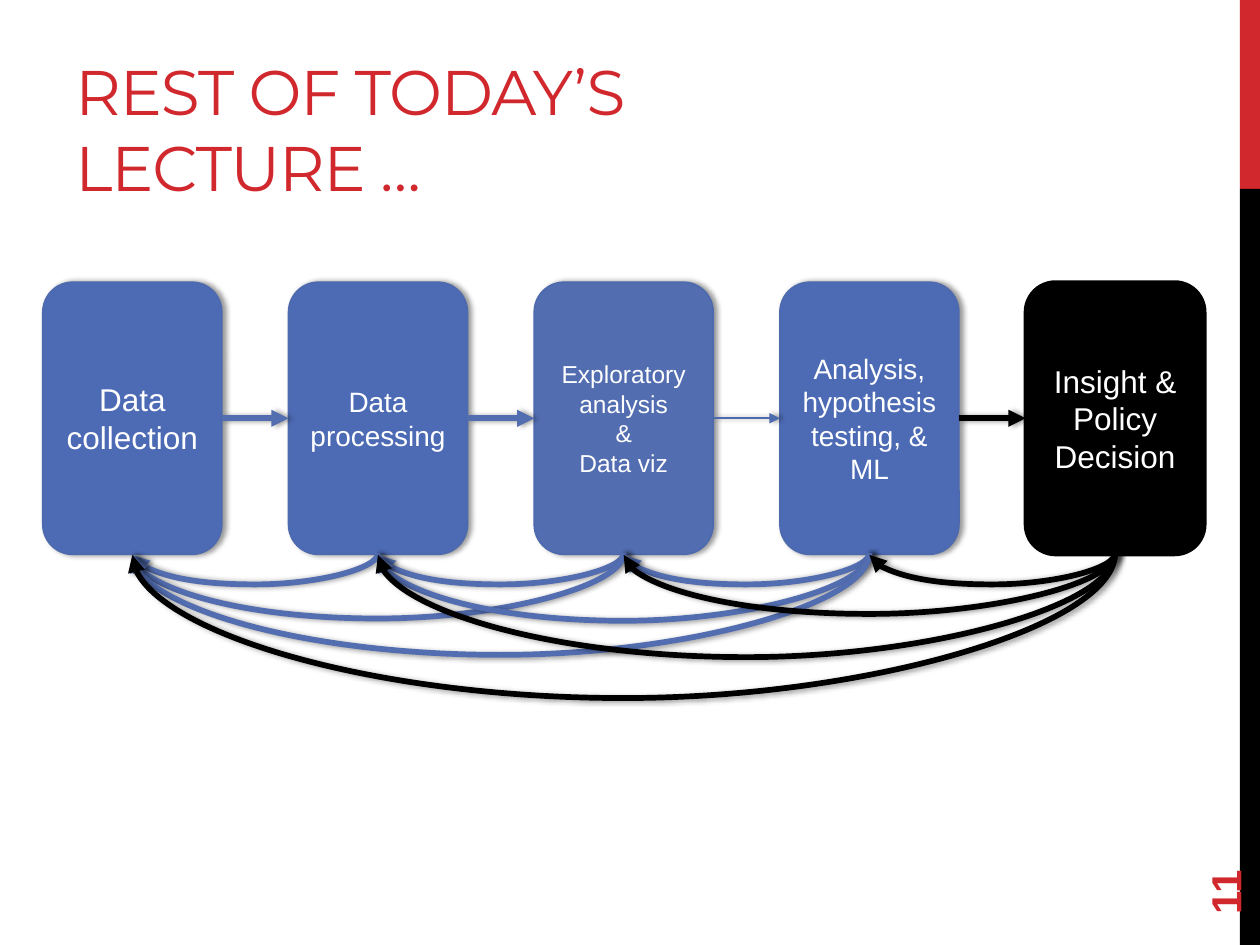
import lxml.etree
import pptx
import pptx.dml.color
import pptx.enum.shapes
import pptx.enum.text
import pptx.oxml.ns
import pptx.util

Inches, Pt = pptx.util.Inches, pptx.util.Pt
RGBColor = pptx.dml.color.RGBColor
MSO_SHAPE = pptx.enum.shapes.MSO_SHAPE
MSO_CONNECTOR = pptx.enum.shapes.MSO_CONNECTOR
PP_ALIGN = pptx.enum.text.PP_ALIGN
MSO_ANCHOR = pptx.enum.text.MSO_ANCHOR
qn = pptx.oxml.ns.qn
SubElement = lxml.etree.SubElement

RED = RGBColor(0xD1, 0x28, 0x2E)
BLACK = RGBColor(0, 0, 0)
WHITE = RGBColor(0xFF, 0xFF, 0xFF)
BLUE = RGBColor(0x4D, 0x6B, 0xB5)
MUTED_BLUE = RGBColor(0x52, 0x6D, 0xB0)
EDGE_BLUE = RGBColor(0x4E, 0x6A, 0xAE)

presentation = pptx.Presentation()
presentation.slide_width, presentation.slide_height = Inches(10), Inches(7.5)
slide = presentation.slides.add_slide(presentation.slide_layouts[6])
shapes = slide.shapes


def add_shadow(shape):
    properties = shape.element.spPr
    effects = properties.find(qn("a:effectLst"))
    if effects is None:
        effects = SubElement(properties, qn("a:effectLst"))
    shadow = SubElement(effects, qn("a:outerShdw"), blurRad=str(Pt(3.1)),
                        dist=str(Pt(1.8)), dir="0", rotWithShape="0")
    color = SubElement(shadow, qn("a:srgbClr"), val="000000")
    SubElement(color, qn("a:alpha"), val="40000")


def style_arrow(connector, color, width):
    connector.line.color.rgb = color
    connector.line.width = Pt(width)
    line = connector.element.spPr.find(qn("a:ln"))
    SubElement(line, qn("a:tailEnd"), type="triangle")
    add_shadow(connector)


# Side bar
BAR_LEFT, BAR_SPLIT = 9.84, 1.5
for top, bottom, color in [(0, BAR_SPLIT, RED), (BAR_SPLIT, 7.5, BLACK)]:
    bar = shapes.add_shape(MSO_SHAPE.RECTANGLE, Inches(BAR_LEFT), Inches(top),
                           Inches(10 - BAR_LEFT), Inches(bottom - top))
    bar.shadow.inherit = False
    bar.fill.solid()
    bar.fill.fore_color.rgb = color
    bar.line.fill.background()

# Title
title = shapes.add_textbox(Inches(0.5), Inches(0.17), Inches(6.33), Inches(1.5))
title.text_frame.word_wrap = True
title.text_frame.vertical_anchor = MSO_ANCHOR.BOTTOM
paragraph = title.text_frame.paragraphs[0]
run = paragraph.add_run()
run.text = "REST OF TODAY’S LECTURE …"
run.font.name = "Montserrat"
run.font.size = Pt(36)
run.font.color.rgb = RED
run.font._element.set("spc", "-60")

# Pipeline grid
LEFT, TOP, PITCH = 0.34, 2.24, 1.95
BOX_WIDTH, BOX_HEIGHT = 1.42, 2.16
LOOP_TOP = TOP + BOX_HEIGHT - 0.01

# Text, size, fill, edge colour, edge width, arrow colour, arrow width,
# and the loops back from the stage as (target column, depth in points)
stages = [
    ("Data collection", 18, BLUE, EDGE_BLUE, 1, None, 0, []),
    ("Data processing", 16, BLUE, EDGE_BLUE, 1, MUTED_BLUE, 3.25, [(0, 18)]),
    ("Exploratory analysis\n&\nData viz", 14, MUTED_BLUE, EDGE_BLUE, 1,
     MUTED_BLUE, 3.25, [(1, 18), (0, 37.64)]),
    ("Analysis, hypothesis testing, & ML", 16, BLUE, EDGE_BLUE, 1,
     EDGE_BLUE, 1, [(2, 18), (1, 38.95), (0, 58.58)]),
    ("Insight & Policy Decision", 18, BLACK, BLACK, 2.25,
     BLACK, 3.25, [(3, 18), (2, 35.02), (1, 59.89), (0, 83.46)]),
]

previous = None
for column, (text, size, fill, edge, edge_width,
             arrow_color, arrow_width, loops) in enumerate(stages):
    # Stage box
    box = shapes.add_shape(MSO_SHAPE.ROUNDED_RECTANGLE, Inches(LEFT + column * PITCH),
                           Inches(TOP), Inches(BOX_WIDTH), Inches(BOX_HEIGHT))
    box.shadow.inherit = False
    box.fill.solid()
    box.fill.fore_color.rgb = fill
    box.line.color.rgb = edge
    box.line.width = Pt(edge_width)
    if fill != BLACK:
        add_shadow(box)
    box.text_frame.word_wrap = True
    box.text_frame.vertical_anchor = MSO_ANCHOR.MIDDLE
    box.text_frame.text = text
    for paragraph in box.text_frame.paragraphs:
        paragraph.alignment = PP_ALIGN.CENTER
        paragraph.font.name = "Arial"
        paragraph.font.size = Pt(size)
        paragraph.font.color.rgb = WHITE

    # Arrow from the stage before
    if previous is not None:
        arrow = shapes.add_connector(MSO_CONNECTOR.STRAIGHT, 0, 0, 0, 0)
        arrow.begin_connect(previous, 3)
        arrow.end_connect(box, 1)
        style_arrow(arrow, arrow_color, arrow_width)
    previous = box

    # Loops back: a one-point-wide curve turned by 90 degrees, so that its
    # adjustment counts the depth in points
    for target, depth in loops:
        span = Inches((column - target) * PITCH)
        middle = Inches(LEFT + BOX_WIDTH / 2 + (column + target) / 2 * PITCH)
        loop = shapes.add_connector(MSO_CONNECTOR.CURVE, 0, 0, 0, 0)
        loop.width, loop.height = Pt(1), span
        loop.left = middle - Pt(0.5)
        loop.top = Inches(LOOP_TOP) + Pt(0.5) - span // 2
        properties = loop.element.spPr
        properties.find(qn("a:xfrm")).set("rot", "5400000")
        adjustments = properties.find(qn("a:prstGeom")).find(qn("a:avLst"))
        SubElement(adjustments, qn("a:gd"), name="adj1",
                   fmla=f"val {round(depth * 100000)}")
        style_arrow(loop, arrow_color if column == 4 else MUTED_BLUE, 3.25)

# Slide number
number = shapes.add_textbox(Inches(9), Inches(6.44), Inches(1.44), Inches(0.4))
number.rotation = 270
number.text_frame.word_wrap = True
number.text_frame.vertical_anchor = MSO_ANCHOR.MIDDLE
paragraph = number.text_frame.paragraphs[0]
paragraph.text = "11"
paragraph.font.name = "Arial"
paragraph.font.size = Pt(24)
paragraph.font.bold = True
paragraph.font.color.rgb = RED

presentation.save("out.pptx")
